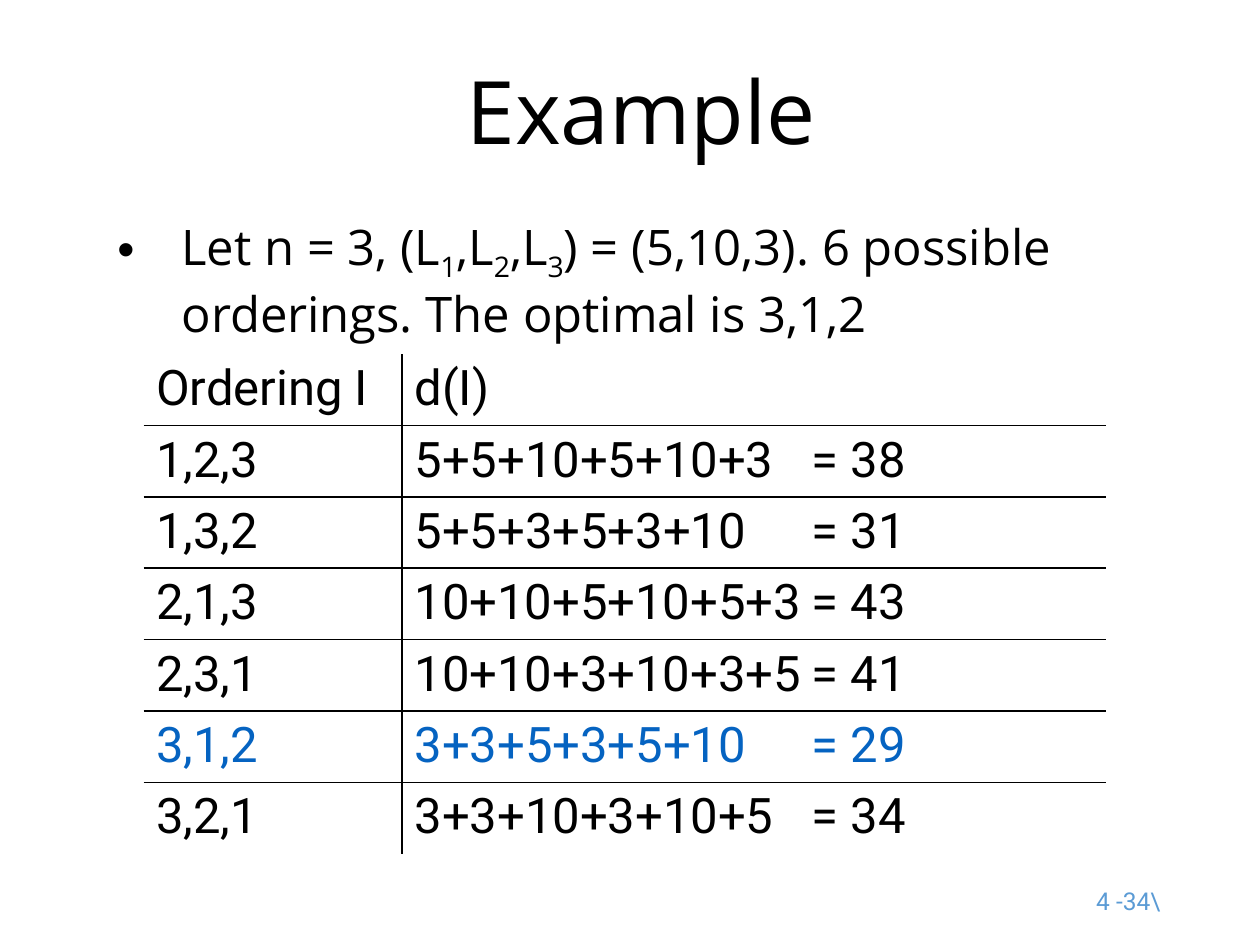
from dataclasses import dataclass

from lxml import etree
from pptx import Presentation
from pptx import util as u
from pptx.dml.color import RGBColor
from pptx.enum import text
from pptx.oxml import ns


@dataclass(frozen=True)
class Theme:
    """Colours, fonts and type sizes of the slide."""
    ink: str = "000000"
    accent: str = "0563C1"
    footer: str = "5B9BD5"
    heading_font: str = "Open Sans"
    table_font: str = "Roboto"
    title_size: float = 50
    body_size: float = 28
    footer_size: float = 14
    rule_width: float = 1


THEME = Theme()
BODY_RUNS = [("Let n = 3, (L", False), ("1", True), (",L", False), ("2", True),
             (",L", False), ("3", True),
             (") = (5,10,3). 6 possible orderings. The optimal is 3,1,2", False)]
ORDERINGS = [
    ("Ordering I", "d(I)"),
    ("1,2,3", "5+5+10+5+10+3\t= 38"),
    ("1,3,2", "5+5+3+5+3+10\t= 31"),
    ("2,1,3", "10+10+5+10+5+3\t= 43"),
    ("2,3,1", "10+10+3+10+3+5\t= 41"),
    ("3,1,2", "3+3+5+3+5+10\t= 29"),
    ("3,2,1", "3+3+10+3+10+5\t= 34"),
]
OPTIMAL = "3,1,2"
COLUMN_WIDTHS = (147.6, 402.5)
ROW_HEIGHT = 40.8
EQUALS_TAB = 227


def place(shape, left, top, width, height):
    """Move and size a shape, in points."""
    shape.left, shape.top = u.Pt(left), u.Pt(top)
    shape.width, shape.height = u.Pt(width), u.Pt(height)


def prepare(shape, anchor):
    """Set wrapping, autofit and anchor; return the first paragraph."""
    frame = shape.text_frame
    frame.word_wrap = True
    frame.auto_size = text.MSO_AUTO_SIZE.NONE
    frame.vertical_anchor = anchor
    return frame.paragraphs[0]


def add_span(para, words, font, size, color, subscript=False):
    """Append one formatted run to a paragraph."""
    span = para.add_run()
    span.text = words
    span.font.name, span.font.size = font, u.Pt(size)
    span.font.color.rgb = RGBColor.from_string(color)
    if subscript:
        span.font._element.set("baseline", "-25000")


def add_title(page):
    """Fill the title placeholder."""
    title = page.shapes.title
    place(title, 59.8, 30.2, 613.4, 72)
    para = prepare(title, text.MSO_ANCHOR.MIDDLE)
    para.alignment = text.PP_ALIGN.CENTER
    para.line_spacing = 0.9
    add_span(para, "Example", THEME.heading_font, THEME.title_size, THEME.ink)


def add_body(page):
    """Fill the body placeholder with the bulleted statement."""
    body = page.placeholders[1]
    place(body, 59.8, 120.2, 622.8, 365.8)
    para = prepare(body, text.MSO_ANCHOR.TOP)
    para.space_before = para.space_after = u.Pt(6)
    props = para._p.get_or_add_pPr()
    props.set("marL", str(u.Pt(36.7)))
    props.set("indent", str(u.Pt(-36.7)))
    etree.SubElement(props, ns.qn("a:buFont"), typeface="Arial")
    etree.SubElement(props, ns.qn("a:buChar"), char="•")
    for words, subscript in BODY_RUNS:
        add_span(para, words, THEME.heading_font, THEME.body_size, THEME.ink, subscript)


def set_borders(cell, edges):
    """Rule the named edges (from L, R, T, B) and clear the others."""
    props = cell._tc.get_or_add_tcPr()
    for index, edge in enumerate("LRTB"):
        line = etree.Element(ns.qn("a:ln" + edge), w=str(u.Pt(THEME.rule_width)))
        if edge in edges:
            fill = etree.SubElement(line, ns.qn("a:solidFill"))
            etree.SubElement(fill, ns.qn("a:srgbClr"), val=THEME.ink)
        else:
            etree.SubElement(line, ns.qn("a:noFill"))
        props.insert(index, line)


def add_tab_stop(para, position):
    """Add a left tab stop, in points."""
    stops = etree.SubElement(para._p.get_or_add_pPr(), ns.qn("a:tabLst"))
    etree.SubElement(stops, ns.qn("a:tab"), pos=str(u.Pt(position)), algn="l")


def add_orderings(page):
    """Add the table of orderings, ruled on its inner edges only."""
    row_count, column_count = len(ORDERINGS), len(COLUMN_WIDTHS)
    table = page.shapes.add_table(
        row_count, column_count, u.Pt(82.1), u.Pt(202.3),
        u.Pt(sum(COLUMN_WIDTHS)), u.Pt(ROW_HEIGHT * row_count)).table
    table.first_row = table.horz_banding = False
    for column, width in zip(table.columns, COLUMN_WIDTHS):
        column.width = u.Pt(width)
    for r, values in enumerate(ORDERINGS):
        table.rows[r].height = u.Pt(ROW_HEIGHT)
        color = THEME.accent if values[0] == OPTIMAL else THEME.ink
        for c, value in enumerate(values):
            cell = table.cell(r, c)
            cell.fill.background()
            inner = {"L": c > 0, "R": c < column_count - 1,
                     "T": r > 0, "B": r < row_count - 1}
            set_borders(cell, [edge for edge, ruled in inner.items() if ruled])
            para = cell.text_frame.paragraphs[0]
            if "\t" in value:
                add_tab_stop(para, EQUALS_TAB)
            add_span(para, value, THEME.table_font, THEME.body_size, color)


def add_page_number(page):
    """Add the page label at the lower right."""
    box = page.shapes.add_textbox(0, 0, 0, 0)
    place(box, 508.3, 500.4, 162, 28.8)
    para = prepare(box, text.MSO_ANCHOR.MIDDLE)
    para.alignment = text.PP_ALIGN.RIGHT
    add_span(para, "4 -34\\", THEME.table_font, THEME.footer_size, THEME.footer)


def main():
    """Build the slide and save it."""
    deck = Presentation()
    deck.slide_width, deck.slide_height = u.Pt(720), u.Pt(540)
    page = deck.slides.add_slide(deck.slide_layouts[1])
    add_page_number(page)
    add_title(page)
    add_body(page)
    add_orderings(page)
    deck.save("out.pptx")


main()
